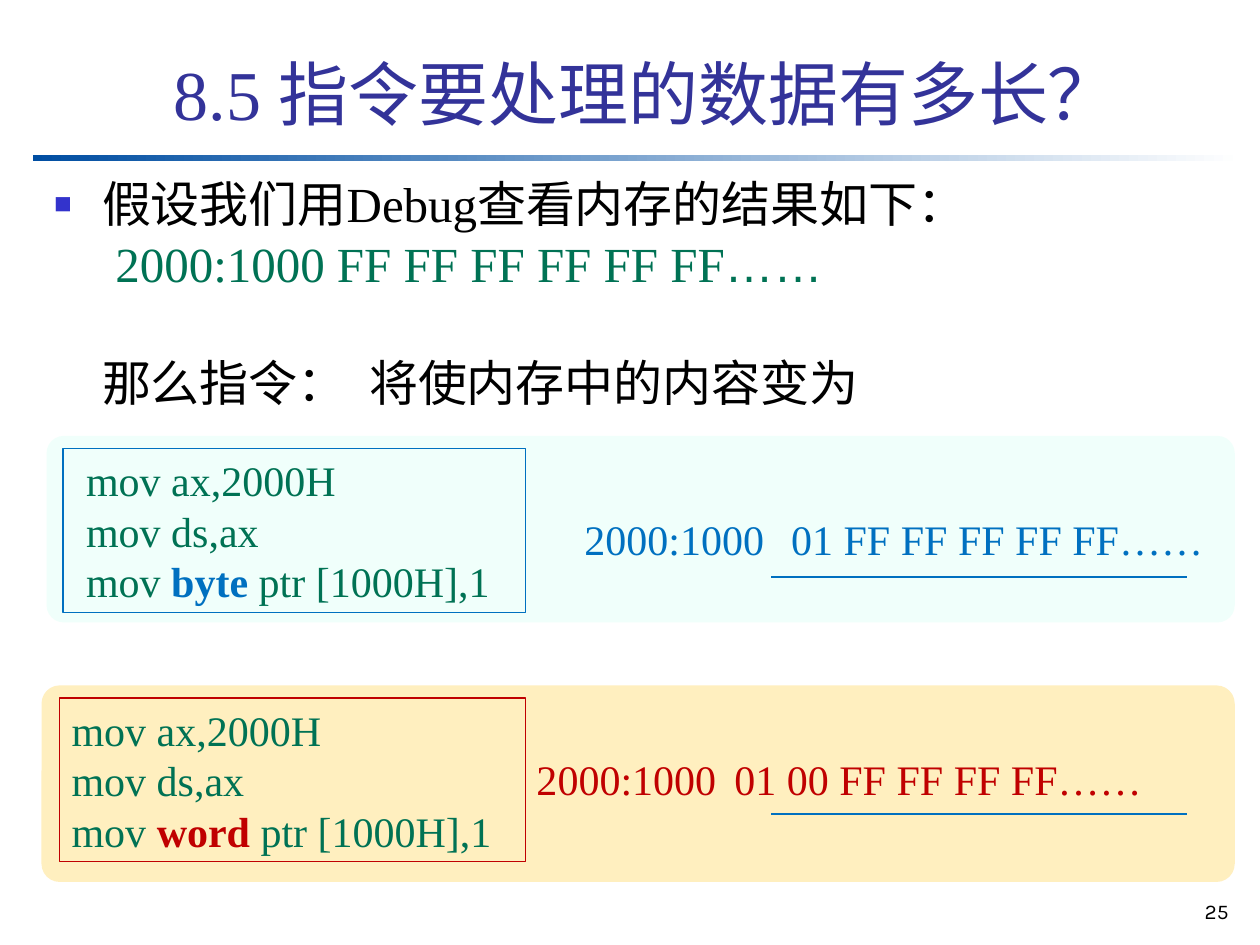
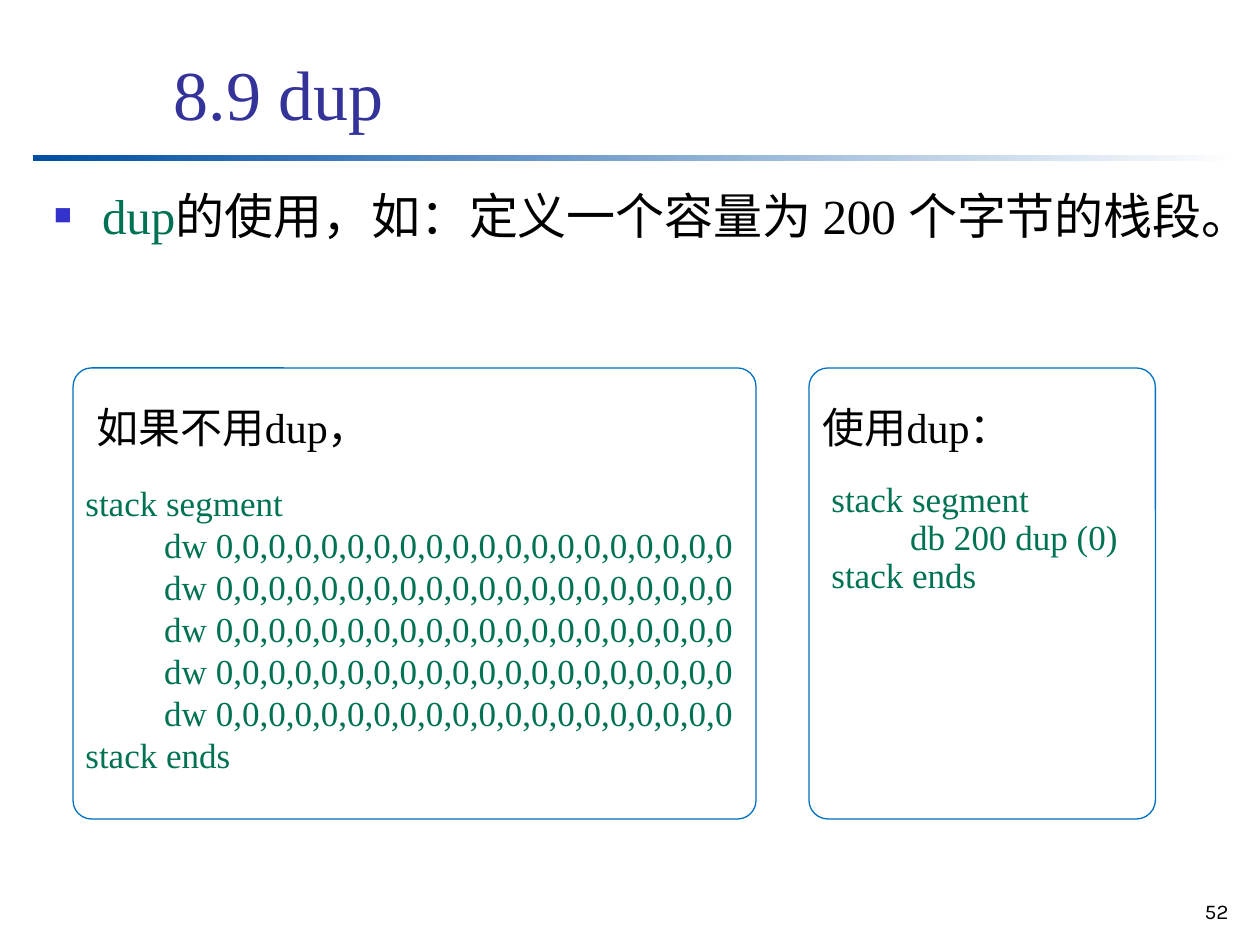
"""Build two assembly language lesson slides: operand length and the dup operator."""
from dataclasses import dataclass
from typing import Any, Optional

from lxml import etree
from pptx import Presentation
from pptx.dml.color import RGBColor
from pptx.enum.shapes import MSO_CONNECTOR, MSO_SHAPE
from pptx.enum.text import MSO_ANCHOR, MSO_AUTO_SIZE, PP_ALIGN
from pptx.oxml.ns import qn
from pptx.util import Pt

RECTANGLE = MSO_SHAPE.RECTANGLE
ROUNDED = MSO_SHAPE.ROUNDED_RECTANGLE
STRAIGHT = MSO_CONNECTOR.STRAIGHT
LEFT, RIGHT = PP_ALIGN.LEFT, PP_ALIGN.RIGHT
TOP, BOTTOM = MSO_ANCHOR.TOP, MSO_ANCHOR.BOTTOM
NO_FIT = MSO_AUTO_SIZE.NONE

BLACK = RGBColor(0x00, 0x00, 0x00)
WHITE = RGBColor(0xFF, 0xFF, 0xFF)
NAVY = RGBColor(0x00, 0x4E, 0xA2)
INDIGO = RGBColor(0x33, 0x33, 0x99)
BULLET = RGBColor(0x33, 0x33, 0xCC)
GREEN = RGBColor(0x00, 0x72, 0x54)
BLUE = RGBColor(0x00, 0x70, 0xC0)
RED = RGBColor(0xC0, 0x00, 0x00)
AMBER = RGBColor(0xFF, 0xC0, 0x00)
MINT = RGBColor(0xC7, 0xFF, 0xF0)

SERIF, SANS, NUMBER_FONT = "Times New Roman", "Arial", "Karla"
HANG = 27.36
THIN = 0.74


@dataclass(frozen=True)
class Frame:
    left: float
    top: float
    width: float
    height: float

    def lengths(self) -> tuple:
        return Pt(self.left), Pt(self.top), Pt(self.width), Pt(self.height)


@dataclass(frozen=True)
class Span:
    text: str
    color: RGBColor = BLACK
    bold: bool = False
    font: str = SERIF


@dataclass(frozen=True)
class Para:
    spans: tuple
    size: float
    spacing: Any = None
    before: float = 0
    margin: float = 0
    indent: float = 0
    align: Any = LEFT
    bullet: bool = False
    tab: Optional[float] = None


@dataclass(frozen=True)
class Example:
    card: Frame
    tint: RGBColor
    code: Frame
    inset: float
    accent: RGBColor
    keyword: str
    address: Frame
    memory: Frame
    values: str
    rule: float


@dataclass(frozen=True)
class Listing:
    outline: Frame
    corner: float
    heading: Frame
    caption: str
    code: Frame
    body: tuple
    pitch: float


TITLE = Frame(92.16, 12.96, 613.44, 67.68)
BODY = Frame(23.76, 102.24, 681.12, 408.24)
BAND = Frame(18.72, 88.56, 691.2, 3.6)
NUMBER = Frame(660.96, 509.76, 48.24, 23.76)

EXAMPLES = (
    Example(Frame(26.64, 249.12, 678.96, 106.56), MINT,
            Frame(36, 256.32, 264.24, 93.6), 13.2, BLUE, "byte",
            Frame(326.88, 295.2, 123.12, 30.24),
            Frame(444.96, 295.2, 256, 30.24), "01 FF FF FF FF FF……", 329.76),
    Example(Frame(23.76, 391.68, 681.84, 112.32), AMBER,
            Frame(33.84, 398.88, 266.4, 93.6), 7.2, RED, "word",
            Frame(299.52, 432.72, 177.12, 30.24),
            Frame(412.56, 432.72, 300.96, 30.24), "01 00 FF FF FF FF……", 465.12),
)

ZERO_WORDS = "dw " + ",".join(["0"] * 20)
LISTINGS = (
    Listing(Frame(41.76, 210.24, 390.24, 257.76), 0.041,
            Frame(48.24, 228.96, 293.76, 33.12), "如果不用dup，",
            Frame(41.76, 271.44, 396, 175.68), (ZERO_WORDS,) * 5, 24),
    Listing(Frame(462.24, 210.24, 198, 257.76), 0.055,
            Frame(462.96, 228.96, 133.92, 33.12), "使用dup：",
            Frame(468, 271.44, 181.44, 72), ("db 200 dup (0)",), 21.7),
)


def apply(target: Any, formats: dict) -> None:
    for name, value in formats.items():
        setattr(target, name, value)


def add_node(parent: Any, tag: str, **attributes: str) -> Any:
    return etree.SubElement(parent, qn(tag), attributes)


def format_list(para: Any, spec_para: Para) -> None:
    properties = para._p.get_or_add_pPr()
    apply_margins = {"marL": spec_para.margin, "indent": spec_para.indent}
    for name, value in apply_margins.items():
        properties.set(name, str(int(Pt(value))))
    if spec_para.bullet:
        color = add_node(properties, "a:buClr")
        add_node(color, "a:srgbClr", val=str(BULLET))
        add_node(properties, "a:buSzPct", val="60000")
        add_node(properties, "a:buChar", char="■")
    else:
        add_node(properties, "a:buNone")
    if spec_para.tab is not None:
        stops = add_node(properties, "a:tabLst")
        add_node(stops, "a:tab", pos=str(int(Pt(spec_para.tab))), algn="l")


def write(box: Any, paras: list, anchor: Any = TOP, inset: float = 7.2) -> None:
    frame = box.text_frame
    apply(frame, {"word_wrap": True, "auto_size": NO_FIT, "vertical_anchor": anchor,
                  "margin_left": Pt(inset), "margin_right": Pt(7.2),
                  "margin_top": Pt(3.6), "margin_bottom": Pt(3.6)})
    for index, item in enumerate(paras):
        para = frame.add_paragraph() if index else frame.paragraphs[0]
        apply(para, {"alignment": item.align, "line_spacing": item.spacing,
                     "space_before": Pt(item.before)})
        format_list(para, item)
        for span in item.spans:
            run = para.add_run()
            run.text = span.text
            apply(run.font, {"name": span.font, "size": Pt(item.size), "bold": span.bold})
            run.font.color.rgb = span.color


def add_text(page: Any, frame: Frame, paras: list) -> None:
    write(page.shapes.add_textbox(*frame.lengths()), paras)


def add_panel(page: Any, kind: Any, frame: Frame, fill: Optional[RGBColor] = None,
              line: Optional[RGBColor] = None, corner: Optional[float] = None) -> Any:
    panel = page.shapes.add_shape(kind, *frame.lengths())
    panel.shadow.inherit = False
    if corner is not None:
        panel.adjustments[0] = corner
    if fill is None:
        panel.fill.background()
    else:
        panel.fill.solid()
        panel.fill.fore_color.rgb = fill
    if line is None:
        panel.line.fill.background()
    else:
        panel.line.color.rgb = line
        panel.line.width = Pt(THIN)
    return panel


def add_rule(page: Any, left: float, right: float, height: float) -> None:
    rule = page.shapes.add_connector(STRAIGHT, Pt(left), Pt(height), Pt(right), Pt(height))
    rule.line.color.rgb = BLUE
    rule.line.width = Pt(1.5)
    add_node(rule._element.spPr, "a:effectLst")


def add_page(deck: Any, title: str, number: int, paras: list) -> Any:
    page = deck.slides.add_slide(deck.slide_layouts[1])
    heading, body = page.placeholders
    for box, frame in ((heading, TITLE), (body, BODY)):
        apply(box, dict(zip(("left", "top", "width", "height"), frame.lengths())))
    write(heading, [Para((Span(title, INDIGO),), 40)], BOTTOM)
    write(body, paras)
    band = add_panel(page, RECTANGLE, BAND, WHITE)
    band.fill.gradient()
    band.fill.gradient_angle = 0
    for stop, color in zip(band.fill.gradient_stops, (NAVY, WHITE)):
        stop.color.rgb = color
    label = Span(str(number), font=NUMBER_FONT)
    add_text(page, NUMBER, [Para((label,), 12, align=RIGHT)])
    return page


def add_example(page: Any, item: Example) -> None:
    card = add_panel(page, ROUNDED, item.card, item.tint, corner=0.092)
    color = card._element.spPr.find(qn("a:solidFill"))[0]
    add_node(color, "a:alpha", val="25000")
    lines = ((Span("mov ax,2000H", GREEN),), (Span("mov ds,ax", GREEN),),
             (Span("mov ", GREEN), Span(item.keyword, item.accent, True),
              Span(" ptr [1000H],1", GREEN)))
    code = add_panel(page, RECTANGLE, item.code, line=item.accent)
    write(code, [Para(line, 24, Pt(28.8)) for line in lines], inset=item.inset)
    for frame, text in ((item.address, "2000:1000"), (item.memory, item.values)):
        add_text(page, frame, [Para((Span(text, item.accent),), 24, 0.8)])
    add_rule(page, 440.64, 678.24, item.rule)


def add_listing(page: Any, item: Listing) -> None:
    add_panel(page, ROUNDED, item.outline, line=BLUE, corner=item.corner)
    add_text(page, item.heading, [Para((Span(item.caption),), 24, 0.9)])
    lines = [("stack segment", 0), *((line, 45) for line in item.body), ("stack ends", 0)]
    add_text(page, item.code, [Para((Span(text, GREEN),), 20, Pt(item.pitch), margin=margin)
                               for text, margin in lines])


def main() -> None:
    deck = Presentation()
    apply(deck, {"slide_width": Pt(720), "slide_height": Pt(540)})

    length_page = add_page(deck, "8.5 指令要处理的数据有多长？", 25, [
        Para((Span("假设我们用Debug查看内存的结果如下："),), 28, 0.8, 7, HANG, -HANG, bullet=True),
        Para((Span("2000:1000 FF FF FF FF FF FF", GREEN), Span("……", GREEN, font=SANS)),
             28, 0.8, 7, 35),
        Para((Span("那么指令：\t将使内存中的内容变为"),), 28, 0.8, 41, 0, HANG, tab=275),
    ])
    for example in EXAMPLES:
        add_example(length_page, example)

    dup_page = add_page(deck, "8.9 dup", 52, [
        Para((Span("dup", GREEN), Span("的使用，如：定义一个容量为 200 个字节的栈段。")),
             28, None, 7, HANG, -HANG, bullet=True),
    ])
    for listing in LISTINGS:
        add_listing(dup_page, listing)

    deck.save("out.pptx")


main()
